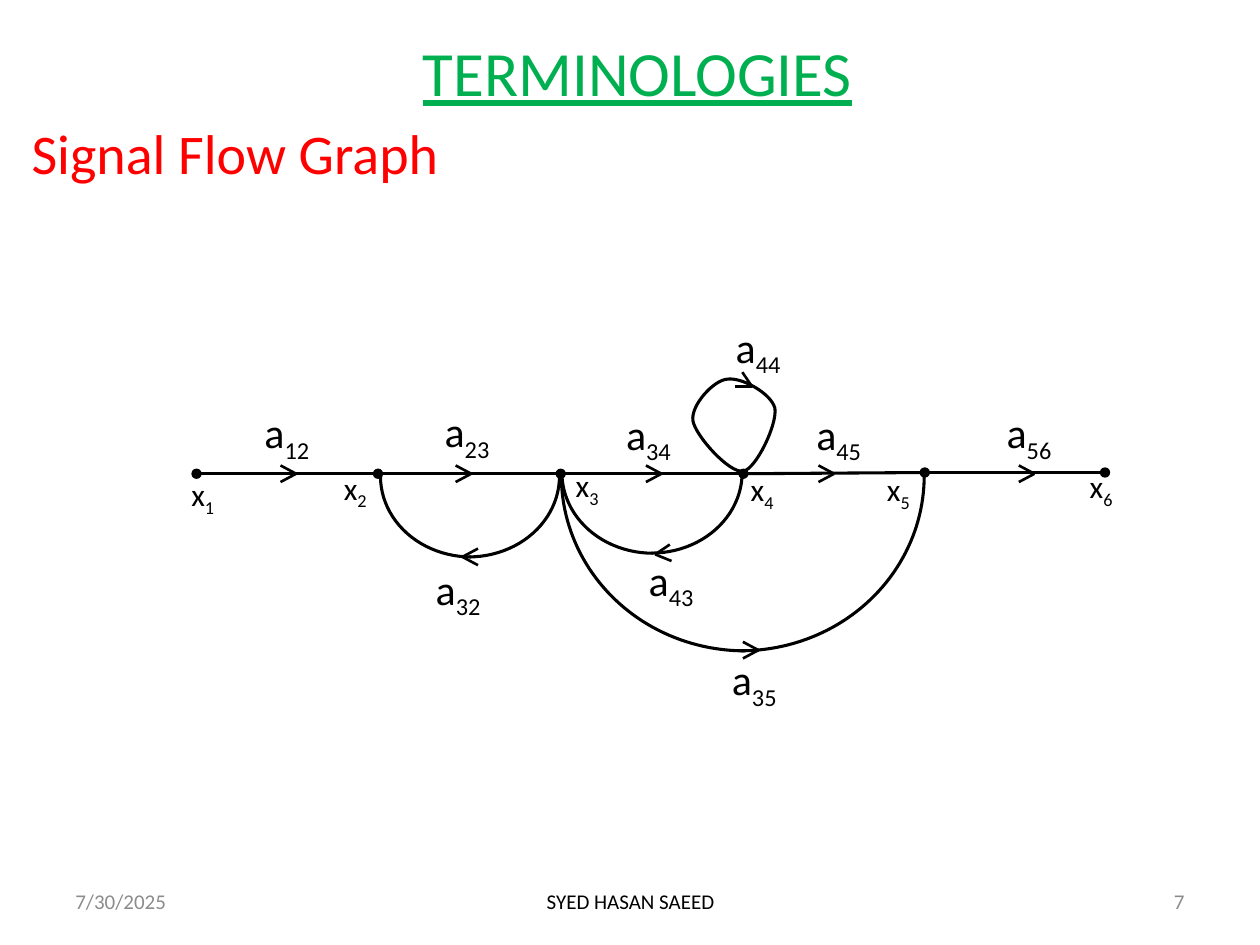
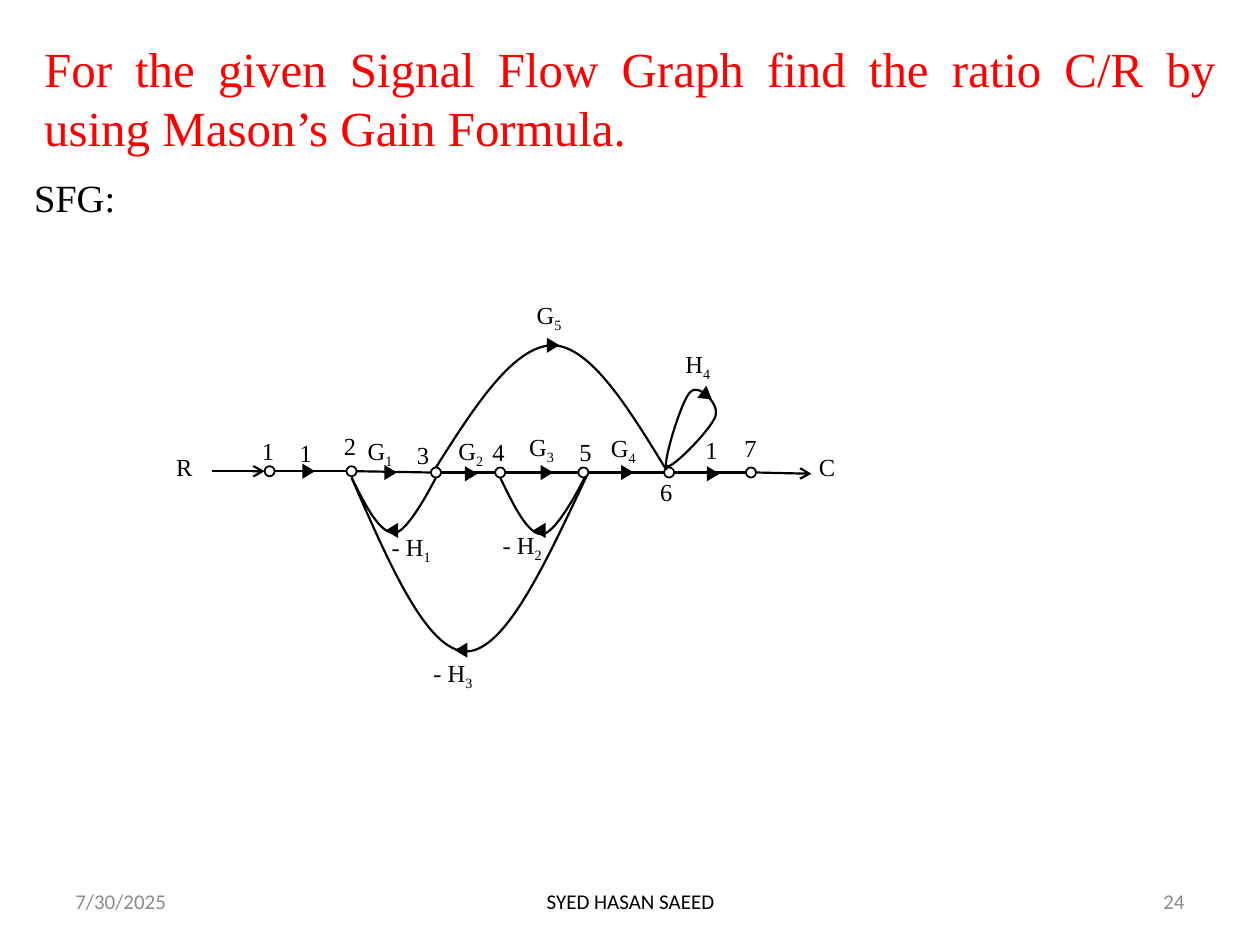
from dataclasses import dataclass
from math import cos, radians, sin

from lxml.etree import SubElement
from pptx import Presentation
from pptx.dml.color import RGBColor as Rgb
from pptx.enum.shapes import MSO_CONNECTOR as Link, MSO_SHAPE as Kind
from pptx.enum.text import MSO_ANCHOR as Anchor, MSO_AUTO_SIZE as Fit, PP_ALIGN as Align
from pptx.oxml.ns import qn
from pptx.util import Inches, Pt


@dataclass(frozen=True)
class Theme:
    sans: str = "Calibri"
    serif: str = "Times New Roman"
    black: str = "000000"
    red: str = "FF0000"
    green: str = "00B050"
    gray: str = "8C8C8C"
    head: int = 36
    topic: int = 32
    task: int = 28
    lead: int = 22
    gain: int = 24
    node: int = 18
    mark: int = 14
    foot: int = 12
    bold: float = 1.75
    barb: float = 1.5
    thin: float = 1.25
    ring: float = 1


T = Theme()

# Footer: text, box, alignment, colour
DATE = ("7/30/2025", (0.5, 6.95, 2.33, 0.4), Align.LEFT, T.gray)
AUTHOR = ("SYED HASAN SAEED", (3.42, 6.95, 3.17, 0.4), Align.CENTER, T.black)
PAGE_BOX = (7.17, 6.95, 2.33, 0.4)

# Slide with the general graph
AXIS = 3.76
DOTS = [(1.56, 3.76), (3, 3.76), (4.45, 3.76), (5.9, 3.76), (7.34, 3.75), (8.77, 3.75)]
NODES = [("x_1", 1.42, 3.72), ("x_2", 2.63, 3.67), ("x_3", 4.47, 3.65),
         ("x_4", 5.86, 3.68), ("x_5", 6.94, 3.68), ("x_6", 8.55, 3.66)]
GAINS = [("a_12", 2, 3.18), ("a_23", 3.43, 3.17), ("a_34", 4.87, 3.19),
         ("a_45", 6.38, 3.19), ("a_56", 7.89, 3.18), ("a_32", 3.36, 4.42),
         ("a_43", 5.05, 4.35), ("a_35", 5.71, 5.14), ("a_44", 5.74, 2.5)]
# Return paths: left of the right and left quarter, top, width, height
BOWS = [(3.08, 3.1, 3.06, 1.28, 1.44), (4.53, 4.54, 3.03, 1.28, 1.44),
        (4.49, 4.52, 2.32, 2.78, 2.91)]
# Open arrows: tip x, tip y, heading in degrees clockwise from right
TIPS = [(2.35, AXIS, 0), (3.74, AXIS, 0), (5.25, AXIS, 0), (6.62, AXIS, 0),
        (8.21, AXIS, 0), (3.67, 4.42, 180), (5.2, 4.4, 174), (6.02, 5.16, 0),
        (5.97, 3.07, 28)]
SELF_LOOP = [(5.9, 3.74), (5.79, 3.76), (5.52, 3.46), (5.5, 3.34),
             (5.48, 3.22), (5.66, 3.02), (5.77, 3.01),
             (5.88, 2.99), (6.12, 3.12), (6.15, 3.24),
             (6.17, 3.37), (6, 3.72), (5.9, 3.74)]

# Slide with the exercise
RING = 0.08
RINGS = [(2.14, 3.74), (2.79, 3.74), (3.46, 3.75), (3.97, 3.75),
         (4.63, 3.75), (5.31, 3.75), (5.96, 3.75)]
SOURCE, SINK = (1.68, 3.74), (6.44, 3.76)
CURVES = [
    [(2.79, 3.79), (2.9, 4.01), (3.01, 4.23), (3.13, 4.23),
     (3.24, 4.23), (3.46, 3.79), (3.46, 3.79)],
    [(3.97, 3.79), (4.08, 4.02), (4.19, 4.24), (4.3, 4.24),
     (4.42, 4.24), (4.64, 3.79), (4.64, 3.79)],
    [(2.79, 3.79), (3.09, 4.48), (3.39, 5.17), (3.7, 5.17),
     (4.01, 5.17), (4.33, 4.47), (4.66, 3.77)],
    [(3.46, 3.71), (3.77, 3.22), (4.08, 2.74), (4.39, 2.74),
     (4.69, 2.75), (4.99, 3.24), (5.29, 3.73)],
    [(5.29, 3.7), (5.26, 3.67), (5.41, 3.17), (5.48, 3.11),
     (5.54, 3.04), (5.71, 3.2), (5.68, 3.3),
     (5.65, 3.4), (5.33, 3.73), (5.29, 3.7)],
]
# Solid arrows: centre x, centre y, rotation
WEDGES = [(2.45, 3.74, 90), (3.1, 3.75, 90), (3.74, 3.76, 90), (4.34, 3.75, 90),
          (4.98, 3.75, 90), (5.66, 3.76, 90), (4.39, 2.74, 90), (5.61, 3.14, 127),
          (3.66, 5.16, 270), (3.11, 4.21, 270), (4.28, 4.21, 270)]
MARKS = [("R", 1.3, 3.54), ("C", 6.4, 3.54),
         ("1", 1.98, 3.41), ("2", 2.63, 3.37), ("3", 3.21, 3.44),
         ("4", 3.81, 3.42), ("5", 4.5, 3.42), ("6", 5.14, 3.74),
         ("7", 5.81, 3.39), ("1", 2.28, 3.43), ("1", 5.5, 3.4)]
TERMS = [("G_1", 2.82, 3.41), ("G_2", 3.54, 3.41), ("G_3", 4.1, 3.38),
         ("G_4", 4.75, 3.39), ("G_5", 4.16, 2.33), ("- H_1", 3.01, 4.17),
         ("- H_2", 3.89, 4.16), ("- H_3", 3.34, 5.17), ("H_4", 5.34, 2.72)]


def place(shape, box):
    shape.left, shape.top, shape.width, shape.height = map(Inches, box)


def write(para, text, size, face, color, line=False):
    """Add text as runs; what follows an underscore is a subscript."""
    base, _, sub = text.partition("_")
    for part, low in ((base, False), (sub, True)):
        if not part:
            continue
        run = para.add_run()
        run.text = part
        font = run.font
        font.size, font.name = Pt(size), face
        font.color.rgb = Rgb.from_string(color)
        if line:
            font.underline = True
        if low:
            run._r.get_or_add_rPr().set("baseline", "-25000")


def add_text(slide, text, box, size, face, color=T.black, align=Align.LEFT,
             anchor=Anchor.TOP, fit=Fit.SHAPE_TO_FIT_TEXT):
    frame = slide.shapes.add_textbox(*map(Inches, box)).text_frame
    frame.word_wrap, frame.auto_size = True, fit
    frame.vertical_anchor = anchor
    para = frame.paragraphs[0]
    para.alignment = align
    write(para, text, size, face, color)


def add_tags(slide, tags, wide, high, size, face):
    for text, x, y in tags:
        add_text(slide, text, (x, y, wide, high), size, face)


def fill_holder(holder, box, align, text, *style):
    place(holder, box)
    frame = holder.text_frame
    frame.auto_size = Fit.NONE
    para = frame.paragraphs[0]
    para.alignment = align
    para.space_before = Pt(0)
    write(para, text, *style)
    return para


def add_slide(deck, page, title, body):
    """Start a slide with its title, lead line and footer."""
    slide = deck.slides.add_slide(deck.slide_layouts[1])
    fill_holder(slide.shapes.title, *title)
    slide.shapes.title.text_frame.vertical_anchor = Anchor.MIDDLE
    props = fill_holder(slide.placeholders[1], *body)._p.get_or_add_pPr()
    props.set("marL", str(Inches(0.38)))
    props.set("indent", str(-Inches(0.38)))
    SubElement(props, qn("a:buNone"))
    for text, box, align, color in (DATE, AUTHOR, (page, PAGE_BOX, Align.RIGHT, T.gray)):
        add_text(slide, text, box, T.foot, T.sans, color, align, Anchor.MIDDLE, Fit.NONE)
    return slide


def ink(shape, width):
    shape.line.color.rgb = Rgb.from_string(T.black)
    shape.line.width = Pt(width)


def outline(shape, width):
    shape.shadow.inherit = False
    shape.fill.background()
    ink(shape, width)


def add_line(slide, start, end, width, head=None, tail=None):
    line = slide.shapes.add_connector(Link.STRAIGHT, *map(Inches, (*start, *end)))
    ink(line, width)
    props = line._element.spPr
    for tag, kind in (("a:headEnd", head), ("a:tailEnd", tail)):
        if kind:
            SubElement(props.find(qn("a:ln")), qn(tag), type=kind)
    SubElement(props, qn("a:effectLst"))


def add_curve(slide, knots, width):
    """Draw a chain of cubic curves; neighbours share an end knot."""
    pen = slide.shapes.build_freeform(*map(Inches, knots[0]))
    pen.add_line_segments([tuple(map(Inches, p)) for p in knots[1:]],
                          close=knots[0] == knots[-1])
    shape = pen.convert_to_shape()
    legs = list(shape._element.iter(qn("a:lnTo")))
    for i in range(0, len(legs), 3):
        cubic = legs[i].makeelement(qn("a:cubicBezTo"))
        legs[i].addprevious(cubic)
        for leg in legs[i:i + 3]:
            cubic.append(leg[0])
            leg.getparent().remove(leg)
    outline(shape, width)


def add_bow(slide, right, left, top, wide, high):
    """Draw a lower half ellipse as two turned quarter arcs."""
    group = slide.shapes.add_group_shape()
    for x, flip in ((right, False), (left, True)):
        arc = group.shapes.add_shape(Kind.ARC, *map(Inches, (x, top, wide, high)))
        arc.rotation = 90
        if flip:
            arc._element.spPr.find(qn("a:xfrm")).set("flipV", "1")
        outline(arc, T.bold)


def add_tip(slide, x, y, turn):
    group = slide.shapes.add_group_shape()
    for side in (-28, 28):
        angle = radians(turn + 180 + side)
        end = (x + 0.14 * cos(angle), y + 0.14 * sin(angle))
        add_line(group, (x, y), end, T.barb)


def add_wedge(slide, x, y, turn):
    wedge = slide.shapes.add_shape(Kind.ISOSCELES_TRIANGLE,
                                   *map(Inches, (x - 0.06, y - 0.05, 0.12, 0.1)))
    wedge.rotation = turn
    wedge.shadow.inherit = False
    wedge.fill.solid()
    wedge.fill.fore_color.rgb = Rgb.from_string(T.black)
    wedge.line.fill.background()


def draw_terms(deck):
    slide = add_slide(
        deck, "7",
        ((0.56, 0.16, 9, 0.82), Align.CENTER, "TERMINOLOGIES",
         T.head, T.sans, T.green, True),
        ((0.15, 0.89, 9.68, 6.11), Align.LEFT, "Signal Flow Graph",
         T.topic, T.sans, T.red))
    for i, (dot, after) in enumerate(zip(DOTS, DOTS[1:])):
        add_line(slide, after, dot, T.bold, "oval", None if i else "oval")
    for bow in BOWS:
        add_bow(slide, *bow)
    add_curve(slide, SELF_LOOP, T.bold)
    add_tags(slide, NODES, 0.41, 0.4, T.node, T.sans)
    for tip in TIPS:
        add_tip(slide, *tip)
    add_tags(slide, GAINS, 0.59, 0.5, T.gain, T.sans)


def draw_task(deck):
    slide = add_slide(
        deck, "24",
        ((0.25, 0.3, 9.5, 0.95), Align.JUSTIFY,
         "For the given Signal Flow Graph find the ratio C/R by using Mason’s Gain Formula.",
         T.task, T.serif, T.red),
        ((0.17, 1.33, 9.67, 5.67), Align.LEFT, "SFG:", T.lead, T.serif, T.black))
    half = RING / 2
    for x, y in RINGS:
        box = (x - half, y - half, RING, RING)
        outline(slide.shapes.add_shape(Kind.OVAL, *map(Inches, box)), T.ring)
    starts = [SOURCE] + [(x + half, y) for x, y in RINGS]
    stops = [(x - half, y) for x, y in RINGS] + [SINK]
    for i, (start, stop) in enumerate(zip(starts, stops)):
        outer = i in (0, len(RINGS))
        add_line(slide, start, stop, T.thin, tail="arrow" if outer else None)
    for knots in CURVES:
        add_curve(slide, knots, T.thin)
    for wedge in WEDGES:
        add_wedge(slide, *wedge)
    add_tags(slide, MARKS, 0.28, 0.34, T.mark, T.serif)
    add_tags(slide, TERMS, 0.68, 0.34, T.mark, T.serif)


def main():
    deck = Presentation()
    deck.slide_width, deck.slide_height = Inches(10), Inches(7.5)
    draw_terms(deck)
    draw_task(deck)
    deck.save("out.pptx")


if __name__ == "__main__":
    main()
